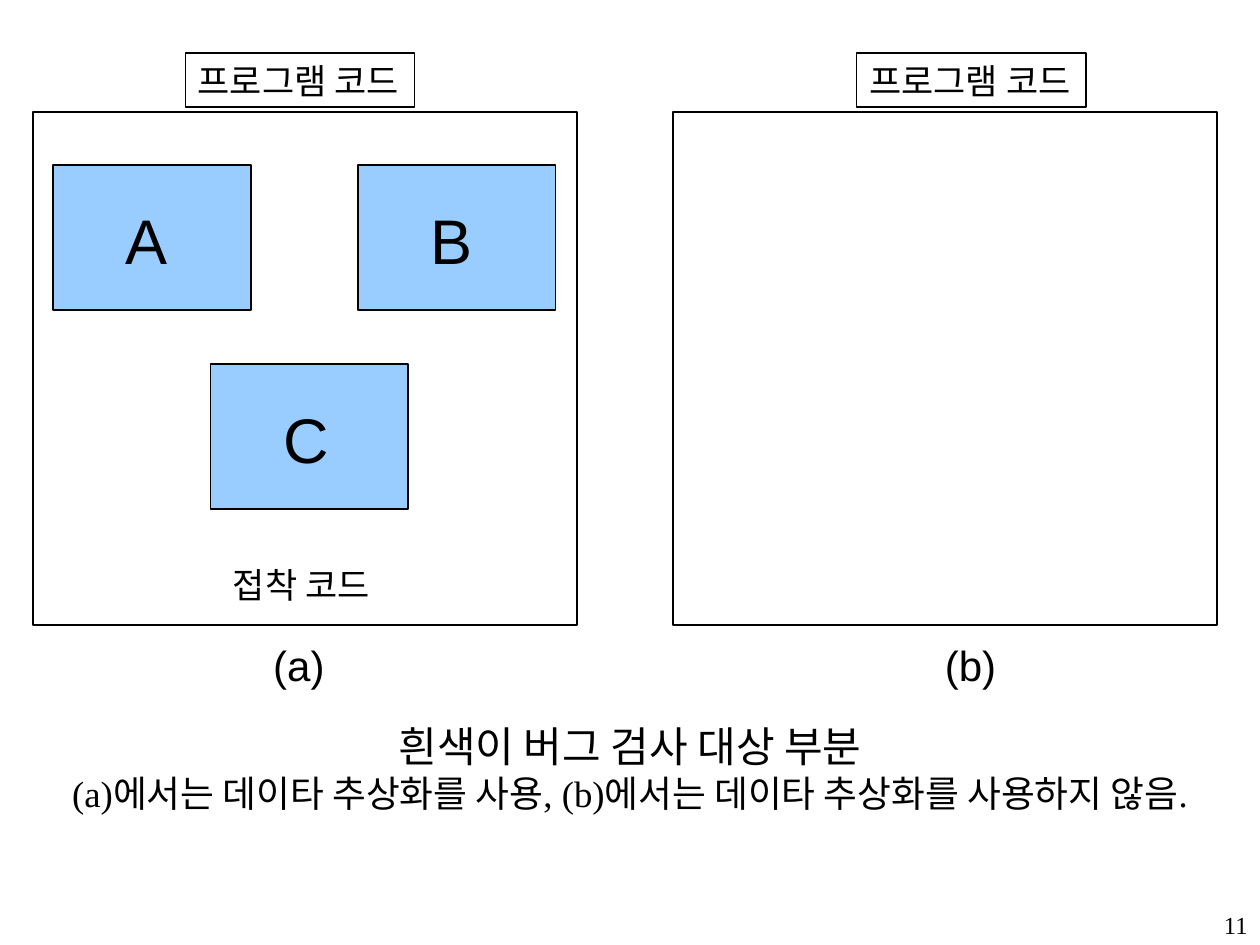
from pptx import Presentation
from pptx.dml.color import RGBColor
from pptx.enum.shapes import MSO_SHAPE
from pptx.enum.text import MSO_AUTO_SIZE, PP_ALIGN
from pptx.util import Inches, Pt

RECT = MSO_SHAPE.RECTANGLE
FIT_SHAPE = MSO_AUTO_SIZE.SHAPE_TO_FIT_TEXT
LEFT, CENTER, RIGHT = PP_ALIGN.LEFT, PP_ALIGN.CENTER, PP_ALIGN.RIGHT

COLORS = {"ink": "000000", "paper": "FFFFFF", "module": "99CCFF"}
SANS, SERIF = "Arial", "Times New Roman"


class SlideBuilder:
    """Holds the style and the current slide."""

    def __init__(self, slide):
        self.slide = slide

    def color(self, name):
        return RGBColor.from_string(COLORS[name])

    def box(self, left, top, width, height, fill):
        shape = self.slide.shapes.add_shape(
            RECT, Inches(left), Inches(top), Inches(width), Inches(height))
        shape.shadow.inherit = False
        shape.fill.solid()
        shape.fill.fore_color.rgb = self.color(fill)
        shape.line.color.rgb = self.color("ink")
        shape.line.width = Pt(1)

    def text(self, left, top, width, height, lines, font=SANS, align=LEFT,
             wrap=False, framed=False):
        """Each line is a pair of wording and size in points."""
        label = self.slide.shapes.add_textbox(
            Inches(left), Inches(top), Inches(width), Inches(height))
        if framed:
            label.line.color.rgb = self.color("ink")
            label.line.width = Pt(0.75)
        frame = label.text_frame
        frame.word_wrap = wrap
        frame.auto_size = FIT_SHAPE
        frame.text = "\n".join(wording for wording, _ in lines)
        for paragraph, (_, size) in zip(frame.paragraphs, lines):
            paragraph.alignment = align
            for run in paragraph.runs:
                run.font.name = font
                run.font.size = Pt(size)
                run.font.color.rgb = self.color("ink")


def main():
    prs = Presentation()
    prs.slide_width, prs.slide_height = Inches(10), Inches(7.5)
    builder = SlideBuilder(prs.slides.add_slide(prs.slide_layouts[6]))

    # Two programs: frame, heading and letter below
    for frame_left, heading_left, letter_left, letter in (
            (0.26, 1.47, 2.07, "(a)"), (5.34, 6.8, 7.4, "(b)")):
        builder.box(frame_left, 0.89, 4.32, 4.07, "paper")
        builder.text(heading_left, 0.42, 1.82, 0.43, [("프로그램 코드", 20)],
                     framed=True)
        builder.text(letter_left, 5.03, 0.61, 0.5, [(letter, 24)])

    # Modules of program (a) and the code that joins them
    for module, left, top in (("A", 0.42, 1.31), ("B", 2.84, 1.31),
                              ("C", 1.67, 2.89)):
        builder.box(left, top, 1.57, 1.15, "module")
        builder.text(left + 0.48, top + 0.24, 0.55, 0.7, [(module, 36)])
    builder.text(1.75, 4.42, 1.3, 0.43, [("접착 코드", 20)])

    # Caption
    builder.text(0, 5.67, 10, 0.85, [
        ("흰색이 버그 검사 대상 부분", 24),
        ("(a)에서는 데이타 추상화를 사용, (b)에서는 데이타 추상화를 사용하지 않음.", 21),
    ], font=SERIF, align=CENTER, wrap=True)

    # Page number
    builder.text(7.92, 7.17, 2.08, 0.33, [("11", 14)], font=SERIF,
                 align=RIGHT, wrap=True)

    prs.save("out.pptx")


if __name__ == "__main__":
    main()
